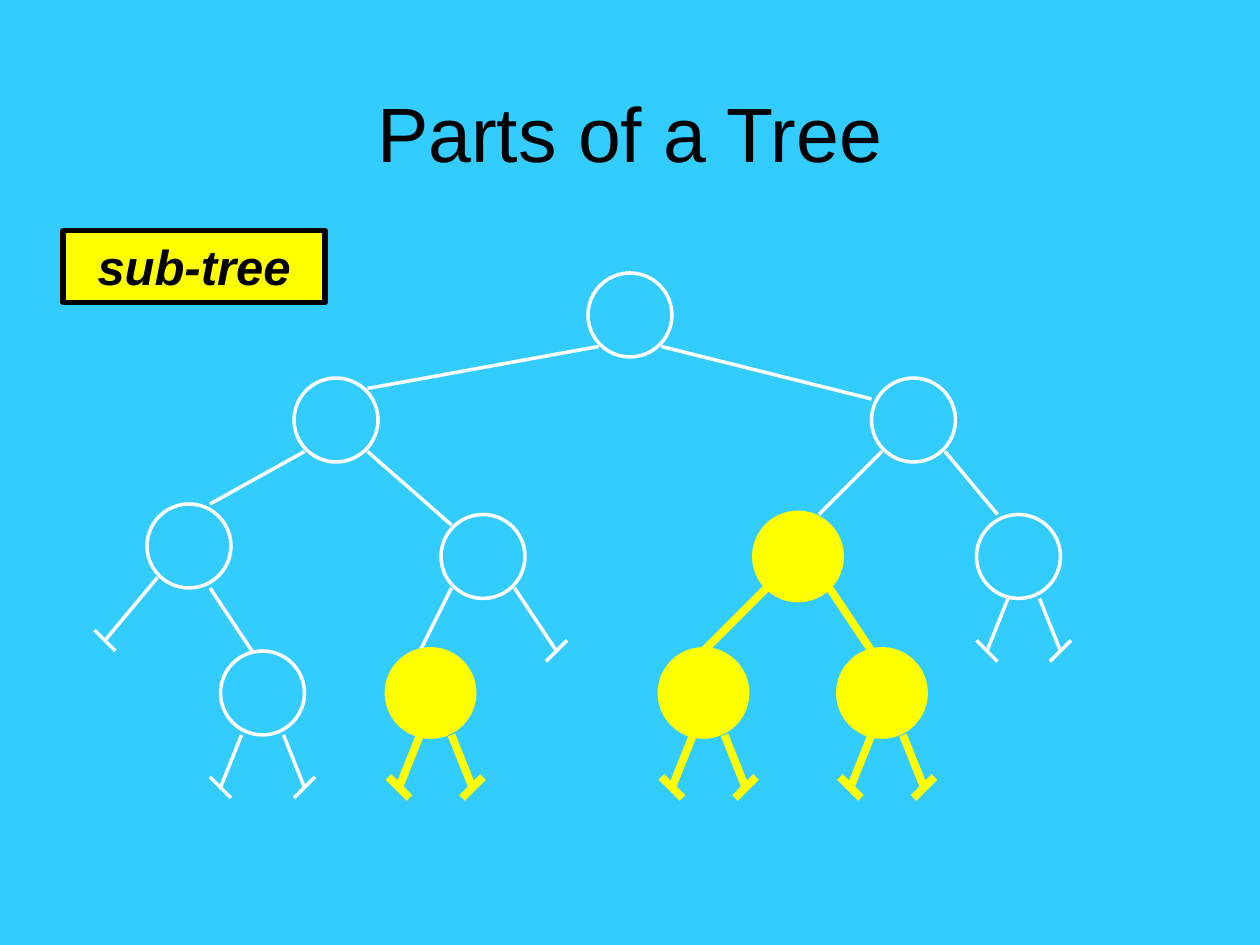
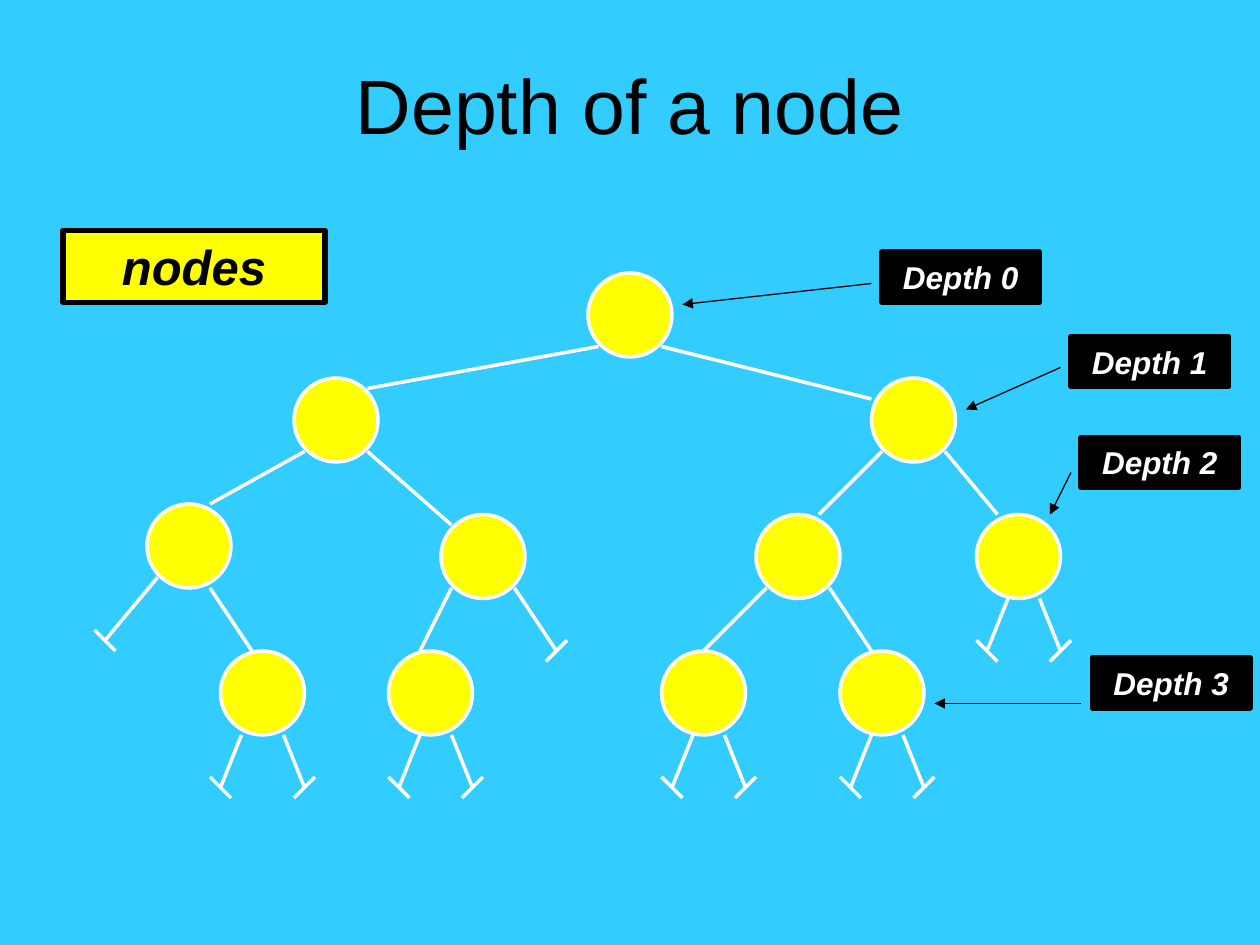
"""Two slides on binary trees: a highlighted sub-tree and the depth of nodes."""
import collections

import pptx
import pptx.dml.color
import pptx.enum.shapes
import pptx.enum.text
import pptx.oxml.ns
import pptx.oxml.xmlchemy
import pptx.util
from pptx.util import Inches

SKY, YELLOW, WHITE, BLACK = "33CCFF", "FFFF00", "FFFFFF", "000000"
SHAPES = pptx.enum.shapes.MSO_SHAPE
ANCHOR = pptx.enum.text.MSO_ANCHOR
DIAMETER = 8

Node = collections.namedtuple("Node", "x y left right nulls")
Look = collections.namedtuple("Look", "fill line width")


def leaf(x, y, shift=0):
    left = (x + 3 - shift, y + 8, x + 1 - shift, y + 13)
    return Node(x, y, left, (x + 6, y + 8, x + 8, y + 13), "LR")


TREE = {
    "root": Node(56, 26, (57, 33, 35, 37), (63, 33, 83, 38), ""),
    "L": Node(28, 36, (29, 43, 20, 48), (35, 43, 43, 50), ""),
    "R": Node(83, 36, (84, 43, 78, 49), (90, 43, 95, 49), ""),
    "LL": Node(14, 48, (15, 55, 10, 61), (20, 56, 24, 62), "L"),
    "LR": Node(42, 49, (43, 56, 40, 62), (49, 56, 53, 62), "R"),
    "RL": Node(72, 49, (73, 56, 67, 62), (79, 56, 83, 62), ""),
    "RR": leaf(93, 49),
    "LLR": leaf(21, 62, shift=1),
    "LRL": leaf(37, 62),
    "RLL": leaf(63, 62),
    "RLR": leaf(80, 62),
}
OUTLINED = Look(None, WHITE, 2)
FILLED = Look(YELLOW, WHITE, 2)
MARKED = Look(YELLOW, YELLOW, 4.5)
SUB_TREES = {"RL", "RLL", "RLR", "LRL"}
DEPTHS = [
    ((7, 2), (83, 27, 65, 29)),
    ((8.5, 2.67), (101, 35, 92, 39)),
    ((8.58, 3.47), (102, 45, 100, 49)),
    ((8.67, 5.22), (103, 67, 89, 67)),
]


def rgb(value):
    return pptx.dml.color.RGBColor.from_string(value)


def grid(*values):
    return [Inches(v / 12) for v in values]


class Deck:
    font = {"name": "Arial", "size": pptx.util.Pt(44), "bold": False, "italic": False}

    def __init__(self):
        self.prs = pptx.Presentation()
        self.prs.slide_width, self.prs.slide_height = Inches(10), Inches(7.5)
        fill = self.prs.slide_master.background.fill
        fill.solid()
        fill.fore_color.rgb = rgb(SKY)
        self.s = None

    def slide(self, title, top, height):
        self.s = self.prs.slides.add_slide(self.prs.slide_layouts[5])
        sp = self.s.shapes.title
        place = {"left": 0.75, "top": top, "width": 8.5, "height": height}
        for name, value in place.items():
            setattr(sp, name, Inches(value))
        self.text(sp, title, BLACK, ANCHOR.MIDDLE)

    def text(self, sp, text, color, anchor, **changes):
        tf = sp.text_frame
        tf.word_wrap = True
        tf.vertical_anchor = anchor
        p = tf.paragraphs[0]
        p.alignment = pptx.enum.text.PP_ALIGN.CENTER
        r = p.add_run()
        r.text = text
        for name, value in {**self.font, **changes}.items():
            setattr(r.font, name, value)
        r.font.color.rgb = rgb(color)

    def shape(self, kind, box, look):
        sp = self.s.shapes.add_shape(kind, *box)
        sp.shadow.inherit = False
        if look.fill:
            sp.fill.solid()
            sp.fill.fore_color.rgb = rgb(look.fill)
        else:
            sp.fill.background()
        sp.line.color.rgb = rgb(look.line)
        sp.line.width = pptx.util.Pt(look.width)
        return sp

    def label(self, text, box, fill, color, size):
        sp = self.shape(SHAPES.RECTANGLE, [Inches(v) for v in box], Look(fill, BLACK, 3))
        self.text(sp, text, color, ANCHOR.TOP, size=pptx.util.Pt(size), bold=True, italic=True)

    def line(self, ends, color, width, arrow=False):
        c = self.s.shapes.add_connector(pptx.enum.shapes.MSO_CONNECTOR.STRAIGHT, *grid(*ends))
        c.line.color.rgb = rgb(color)
        c.line.width = pptx.util.Pt(width)
        props = c._element.spPr
        if arrow:
            tail = pptx.oxml.xmlchemy.OxmlElement("a:tailEnd")
            tail.set("type", "triangle")
            props.find(pptx.oxml.ns.qn("a:ln")).append(tail)
        props.append(pptx.oxml.xmlchemy.OxmlElement("a:effectLst"))

    def node(self, node, look):
        self.shape(SHAPES.OVAL, grid(node.x, node.y, DIAMETER, DIAMETER), look)
        for side, edge, slope in (("L", node.left, 1), ("R", node.right, -1)):
            self.line(edge, look.line, look.width)
            if side in node.nulls:
                x, y = edge[2:]
                self.line((x - 1, y - slope, x + 1, y + slope), look.line, look.width)

    def tree(self, topic, look, marked=()):
        for name, node in TREE.items():
            self.node(node, MARKED if name in marked else look)
        self.label(topic, (0.5, 1.83, 2.08, 0.57), YELLOW, BLACK, 28)


def main():
    deck = Deck()
    deck.slide("Parts of a Tree", 0.42, 1.25)
    deck.tree("sub-tree", OUTLINED, SUB_TREES)

    deck.slide("Depth of a node", 0.3, 1.04)
    deck.tree("nodes", FILLED)
    for depth, (corner, arrow) in enumerate(DEPTHS):
        deck.label(f"Depth {depth}", (*corner, 1.25, 0.4), BLACK, WHITE, 18)
        deck.line(arrow, BLACK, 0.75, arrow=True)
    deck.prs.save("out.pptx")


if __name__ == "__main__":
    main()
